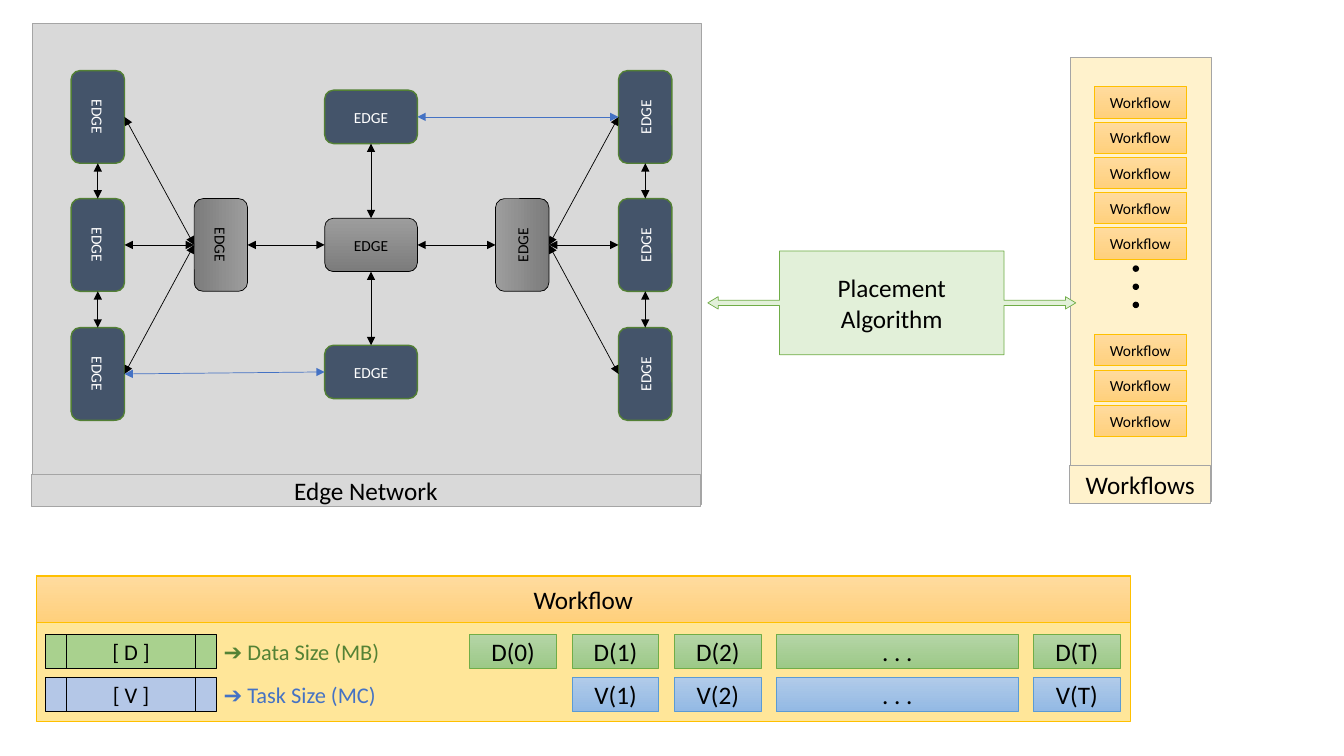
from lxml.etree import SubElement
from pptx import Presentation
from pptx.dml.color import RGBColor
from pptx.enum.shapes import MSO_CONNECTOR, MSO_SHAPE
from pptx.enum.text import MSO_ANCHOR, MSO_AUTO_SIZE, PP_ALIGN
from pptx.oxml.ns import qn
from pptx.util import Inches, Pt

TOP, LEFT, BOTTOM, RIGHT = range(4)
BLACK, BLUE = "000000", "4472C4"
GREY, CREAM, BORDER = "D9D9D9", "FFF2CC", "A5A5A5"
ORANGE, ORANGE_LINE = ("FFDB9E", "FFD07C"), "FFC000"
EDGE_WIDTH, EDGE_HEIGHT = 0.92, 0.53


def color(value):
    """Return the colour for a hex string."""
    return RGBColor.from_string(value)


def write(shape, text, size, font_color, align=PP_ALIGN.CENTER):
    """Put one formatted line of text in a shape."""
    shape.text_frame.text = text
    paragraph = shape.text_frame.paragraphs[0]
    paragraph.alignment = align
    font = paragraph.runs[0].font
    font.name, font.size = "Calibri", Pt(size)
    font.color.rgb = color(font_color)


def paint(shape, fill):
    """Fill a shape with one colour or a top-to-bottom pair."""
    if isinstance(fill, str):
        shape.fill.solid()
        shape.fill.fore_color.rgb = color(fill)
        return
    shape.fill.gradient()
    shape.fill.gradient_angle = 270
    for stop, value in zip(shape.fill.gradient_stops, fill):
        stop.color.rgb = color(value)


def add_box(slide, box, fill, line, text="", size=18, font_color=BLACK,
            kind=MSO_SHAPE.RECTANGLE, line_width=0.5):
    """Add a filled and outlined shape with centred text."""
    shape = slide.shapes.add_shape(kind, *map(Inches, box))
    shape.shadow.inherit = False
    paint(shape, fill)
    shape.line.color.rgb = color(line)
    shape.line.width = Pt(line_width)
    shape.text_frame.vertical_anchor = MSO_ANCHOR.MIDDLE
    if text:
        write(shape, text, size, font_color)
    return shape


def add_label(slide, box, text, font_color):
    """Add a left-aligned text box."""
    label = slide.shapes.add_textbox(*map(Inches, box))
    label.text_frame.word_wrap = True
    label.text_frame.auto_size = MSO_AUTO_SIZE.SHAPE_TO_FIT_TEXT
    write(label, text, 16, font_color, PP_ALIGN.LEFT)


def add_edge(slide, center_x, center_y, rotation=0, hub=False):
    """Add an edge node around its centre."""
    box = (center_x - EDGE_WIDTH / 2, center_y - EDGE_HEIGHT / 2,
           EDGE_WIDTH, EDGE_HEIGHT)
    fill, line, font_color, line_width = (
        (("9D9D9D", "7C7C7C"), BLACK, BLACK, 0.5) if hub
        else ("44546A", "538035", "FFFFFF", 1))
    shape = add_box(slide, box, fill, line, "EDGE", 11, font_color,
                    MSO_SHAPE.FLOWCHART_ALTERNATE_PROCESS, line_width)
    shape.rotation = rotation
    return shape


def side_point(shape, side):
    """Return the middle of a visible side, allowing for rotation."""
    center_x = shape.left + shape.width // 2
    center_y = shape.top + shape.height // 2
    half_width, half_height = shape.width // 2, shape.height // 2
    if shape.rotation % 180:
        half_width, half_height = half_height, half_width
    step_x, step_y = ((0, -1), (-1, 0), (0, 1), (1, 0))[side]
    return center_x + step_x * half_width, center_y + step_y * half_height


def side_site(shape, side):
    """Return the connection site on a visible side."""
    return (side + int(shape.rotation // 90)) % 4


def connect(slide, start, start_side, end, end_side, line=BLACK):
    """Join two nodes with a double-headed arrow."""
    connector = slide.shapes.add_connector(MSO_CONNECTOR.STRAIGHT, 0, 0, 0, 0)
    connector.begin_connect(start, side_site(start, start_side))
    connector.end_connect(end, side_site(end, end_side))
    connector.begin_x, connector.begin_y = side_point(start, start_side)
    connector.end_x, connector.end_y = side_point(end, end_side)
    connector.line.color.rgb = color(line)
    connector.line.width = Pt(0.5)
    for tag in ("a:headEnd", "a:tailEnd"):
        SubElement(connector.line._get_or_add_ln(), qn(tag), type="triangle")
    SubElement(connector._element.spPr, qn("a:effectLst"))


def add_edge_network(slide):
    """Draw the edge network panel."""
    add_box(slide, (0.32, 0.23, 6.64, 4.77), GREY, BORDER)
    rows = (1.16, 2.43, 3.71)
    upper = add_edge(slide, 3.68, 1.16)
    center = add_edge(slide, 3.68, 2.43, hub=True)
    lower = add_edge(slide, 3.68, 3.69)
    left_nodes = [add_edge(slide, 0.97, y, 90) for y in rows]
    right_nodes = [add_edge(slide, 6.4, y, 270) for y in rows]
    left_hub = add_edge(slide, 2.19, 2.43, 90, hub=True)
    right_hub = add_edge(slide, 5.18, 2.43, 270, hub=True)

    connect(slide, center, TOP, upper, BOTTOM)
    connect(slide, center, BOTTOM, lower, TOP)
    connect(slide, left_hub, RIGHT, center, LEFT)
    connect(slide, center, RIGHT, right_hub, LEFT)
    for nodes, hub, inner, outer in ((left_nodes, left_hub, RIGHT, LEFT),
                                     (right_nodes, right_hub, LEFT, RIGHT)):
        for node in nodes:
            connect(slide, hub, outer, node, inner)
        for above, below in zip(nodes, nodes[1:]):
            connect(slide, above, BOTTOM, below, TOP)
    connect(slide, upper, RIGHT, right_nodes[0], LEFT, BLUE)
    connect(slide, left_nodes[2], RIGHT, lower, LEFT, BLUE)
    add_box(slide, (0.31, 4.71, 6.64, 0.31), GREY, BORDER, "Edge Network")


def add_workflows(slide):
    """Draw the column of workflows."""
    add_box(slide, (10.62, 0.57, 1.4, 4.4), CREAM, BORDER)
    for first_top, count in ((0.86, 5), (3.32, 3)):
        for index in range(count):
            box = (10.85, first_top + 0.35 * index, 0.92, 0.31)
            add_box(slide, box, ORANGE, ORANGE_LINE, "Workflow", 11)
    for index in range(3):
        add_box(slide, (11.24, 2.64 + 0.18 * index, 0.05, 0.05), BLACK, BLACK,
                kind=MSO_SHAPE.FLOWCHART_CONNECTOR, line_width=1)
    add_box(slide, (10.61, 4.62, 1.4, 0.37), CREAM, BORDER, "Workflows")


def add_placement(slide):
    """Draw the placement algorithm callout."""
    callout = add_box(slide, (7.02, 2.49, 3.65, 1.03), "E2F0D9", "70AD47",
                      "Placement Algorithm",
                      kind=MSO_SHAPE.LEFT_RIGHT_ARROW_CALLOUT)
    for index, value in enumerate((0.05, 0.06, 0.1, 0.61)):
        callout.adjustments[index] = value


def add_workflow_row(slide, top, letter, first, key_fill, fill, line,
                     meaning, meaning_color):
    """Draw a key, its meaning and the sequence of values."""
    add_box(slide, (0.45, top, 1.7, 0.34), key_fill, BLACK, f"[ {letter} ]",
            16, kind=MSO_SHAPE.FLOWCHART_PREDEFINED_PROCESS)
    add_label(slide, (2.12, top - 0.01, 2.38, 0.37), f"➔ {meaning}",
              meaning_color)
    cells = [(4.66 + 1.015 * index, 0.86, f"{letter}({index})")
             for index in range(first, 3)]
    cells += [(7.7, 2.4, ". . ."), (10.25, 0.86, f"{letter}(T)")]
    for left, width, text in cells:
        add_box(slide, (left, top, width, 0.34), fill, line, text)


def add_workflow_detail(slide):
    """Draw the panel that explains one workflow."""
    add_box(slide, (0.36, 5.71, 10.85, 1.45), "FFE699", ORANGE_LINE)
    add_box(slide, (0.36, 5.72, 10.85, 0.45), ORANGE, ORANGE_LINE, "Workflow")
    add_workflow_row(slide, 6.72, "V", 1, "B4C7E7", ("B1CBE9", "93B9E4"),
                     "5B9BD5", "Task Size (MC)", BLUE)
    add_workflow_row(slide, 6.29, "D", 0, "A9D18E", ("B5D5A7", "9CC987"),
                     "70AD47", "Data Size (MB)", "548235")


def main():
    """Build the slide and save it."""
    presentation = Presentation()
    presentation.slide_width = Inches(13.33)
    presentation.slide_height = Inches(7.5)
    slide = presentation.slides.add_slide(presentation.slide_layouts[6])
    add_edge_network(slide)
    add_workflows(slide)
    add_placement(slide)
    add_workflow_detail(slide)
    presentation.save("out.pptx")


if __name__ == "__main__":
    main()
